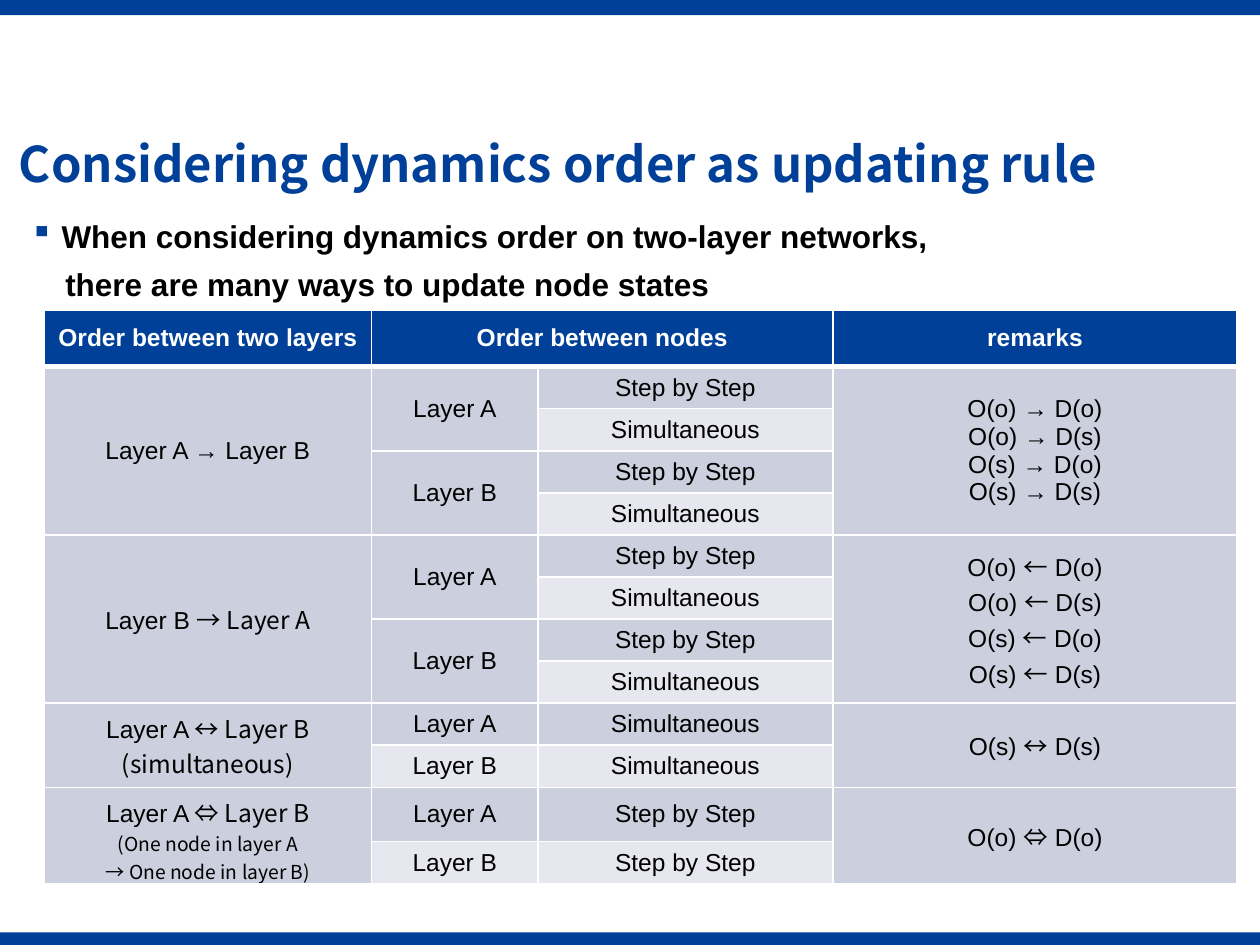
from lxml import etree
from pptx import Presentation
from pptx.dml.color import RGBColor
from pptx.enum.shapes import MSO_SHAPE as Shape
from pptx.enum.text import MSO_ANCHOR as Anchor, MSO_AUTO_SIZE as AutoSize, PP_ALIGN as Align
from pptx.oxml.ns import qn
from pptx.util import Inches, Pt

# Content: "|" switches between the Latin font and the CJK font
TITLE = "Considering dynamics order as updating rule"
INTRO = ["When considering dynamics order on two-layer networks,",
         "there are many ways to update node states"]
HEADERS = [(0, "Order between two layers"), (1, "Order between nodes"), (3, "remarks")]
STEP, SIMUL = "Step by Step", "Simultaneous"
# (order of layers, ways for each layer, remarks)
BLOCKS = [
    (["Layer A → Layer B"], [STEP, SIMUL],
     ["O(o) → D(o)", "O(o) → D(s)", "O(s) → D(o)", "O(s) → D(s)"]),
    (["Layer B |→ Layer A"], [STEP, SIMUL],
     ["O(o) |←| D(o)", "O(o) |←| D(s)", "O(s) |←| D(o)", "O(s) |←| D(s)"]),
    (["Layer A |↔ Layer B", "|(simultaneous)"], [SIMUL], ["O(s) |↔| D(s)"]),
    (["Layer A |⇔ Layer B", "|(One node in layer A", "|→ One node in layer B)"],
     [STEP], ["O(o) |⇔| D(o)"]),
]
LAYERS = ["Layer A", "Layer B"]
SMALL_LINES = BLOCKS[-1][0][1:]

COLORS = {"blue": "004098", "white": "FFFFFF", "black": "000000",
          "band": "CCCFDD", "light": "E7E8EF"}
LATIN, CJK, TITLE_FONT = "Arial", "Noto Sans CJK KR", "Noto Sans CJK SC"

# Table grid
COLUMNS = [2.6, 1.32, 2.34, 3.21]
TABLE_HEIGHT, HEADER_HEIGHT, TALL_HEIGHT = 4.55, 0.45, 0.43
ROW_COUNT = 1 + sum(2 * len(ways) for _, ways, _ in BLOCKS)
TALL_ROW = ROW_COUNT - 2
ROW_HEIGHT = (TABLE_HEIGHT - HEADER_HEIGHT - TALL_HEIGHT) / (ROW_COUNT - 2)


def rgb(name):
    return RGBColor.from_string(COLORS[name])


def add_text(para, text, font=LATIN, size=14, color="black", bold=False):
    for index, part in enumerate(text.split("|")):
        if not part:
            continue
        span = para.add_run()
        span.text = part
        face = CJK if index % 2 else font
        span.font.name, span.font.size, span.font.bold = face, Pt(size), bold
        span.font.color.rgb = rgb(color)
        east_asian = etree.SubElement(span.font._element, qn("a:ea"))
        east_asian.set("typeface", face)


def set_borders(cell, bottom=1):
    props = cell._tc.get_or_add_tcPr()
    widths = {"a:lnL": 1, "a:lnR": 1, "a:lnT": 1, "a:lnB": bottom}
    for index, (tag, width) in enumerate(widths.items()):
        line = etree.Element(qn(tag), w=str(Pt(width)))
        fill = etree.SubElement(line, qn("a:solidFill"))
        etree.SubElement(fill, qn("a:srgbClr"), val=COLORS["white"])
        props.insert(index, line)


def write_cell(table, row, column, lines, last_row=None, last_column=None, **style):
    cell = table.cell(row, column)
    if last_row or last_column:
        cell.merge(table.cell(last_row or row, last_column or column))
    cell.vertical_anchor = Anchor.MIDDLE
    for index, line in enumerate(lines):
        frame = cell.text_frame
        para = frame.add_paragraph() if index else frame.paragraphs[0]
        para.alignment = Align.CENTER
        add_text(para, line, size=11 if line in SMALL_LINES else 14, **style)


def add_bars(page, deck):
    for top, height in [(7.4, 0.1), (0, 0.12)]:
        bar = page.shapes.add_shape(Shape.RECTANGLE, 0, Inches(top),
                                    deck.slide_width, Inches(height))
        bar.shadow.inherit = False
        bar.fill.solid()
        bar.fill.fore_color.rgb = rgb("blue")
        bar.line.fill.background()


def add_title(page):
    title = page.shapes.title
    title.left, title.top = Inches(0.05), Inches(1.01)
    title.width, title.height = Inches(9.16), Inches(0.63)
    frame = title.text_frame
    frame.auto_size = AutoSize.NONE
    frame.vertical_anchor = Anchor.MIDDLE
    para = frame.paragraphs[0]
    para.alignment, para.line_spacing = Align.LEFT, 0.9
    add_text(para, TITLE, font=TITLE_FONT, size=28, color="blue", bold=True)


def add_intro(page):
    box = page.shapes.add_textbox(Inches(0.14), Inches(1.67), Inches(7.47), Inches(0.79))
    frame = box.text_frame
    frame.word_wrap = False
    first, second = frame.paragraphs[0], frame.add_paragraph()
    second.space_before = Pt(6)
    for para, margin, indent in [(first, 0.25, -0.25), (second, 0.28, 0)]:
        props = para._p.get_or_add_pPr()
        props.set("marL", str(Inches(margin)))
        props.set("indent", str(Inches(indent)))
    bullet_color = etree.SubElement(first._p.pPr, qn("a:buClr"))
    etree.SubElement(bullet_color, qn("a:srgbClr"), val=COLORS["blue"])
    etree.SubElement(first._p.pPr, qn("a:buChar"), char="▪")
    for para, text in zip(frame.paragraphs, INTRO):
        add_text(para, text, size=18, bold=True)


def add_order_table(page):
    table = page.shapes.add_table(
        ROW_COUNT, len(COLUMNS), Inches(0.35), Inches(2.46),
        Inches(sum(COLUMNS)), Inches(TABLE_HEIGHT)).table
    for column, width in zip(table.columns, COLUMNS):
        column.width = Inches(width)

    # Fills and borders: alternate rows are lighter
    for index, row in enumerate(table.rows):
        height = {0: HEADER_HEIGHT, TALL_ROW: TALL_HEIGHT}.get(index, ROW_HEIGHT)
        row.height = Inches(height)
        fill = "blue" if index == 0 else "band" if index % 2 else "light"
        for cell in row.cells:
            cell.fill.solid()
            cell.fill.fore_color.rgb = rgb(fill)
            set_borders(cell, bottom=1 if index else 3)

    for column, text in HEADERS:
        write_cell(table, 0, column, [text], last_column=2 if column == 1 else None,
                   color="white", bold=True)

    # Each block holds the same ways for both layers
    row = 1
    for order, ways, remarks in BLOCKS:
        last = row + 2 * len(ways) - 1
        write_cell(table, row, 0, order, last_row=last)
        write_cell(table, row, 3, remarks, last_row=last)
        for layer in LAYERS:
            layer_end = row + len(ways) - 1
            write_cell(table, row, 1, [layer], last_row=layer_end if len(ways) > 1 else None)
            for way in ways:
                write_cell(table, row, 2, [way])
                row += 1


def main():
    deck = Presentation()
    deck.slide_width, deck.slide_height = Inches(10), Inches(7.5)
    page = deck.slides.add_slide(deck.slide_layouts[5])
    add_bars(page, deck)
    add_title(page)
    add_intro(page)
    add_order_table(page)
    deck.save("out.pptx")


if __name__ == "__main__":
    main()
